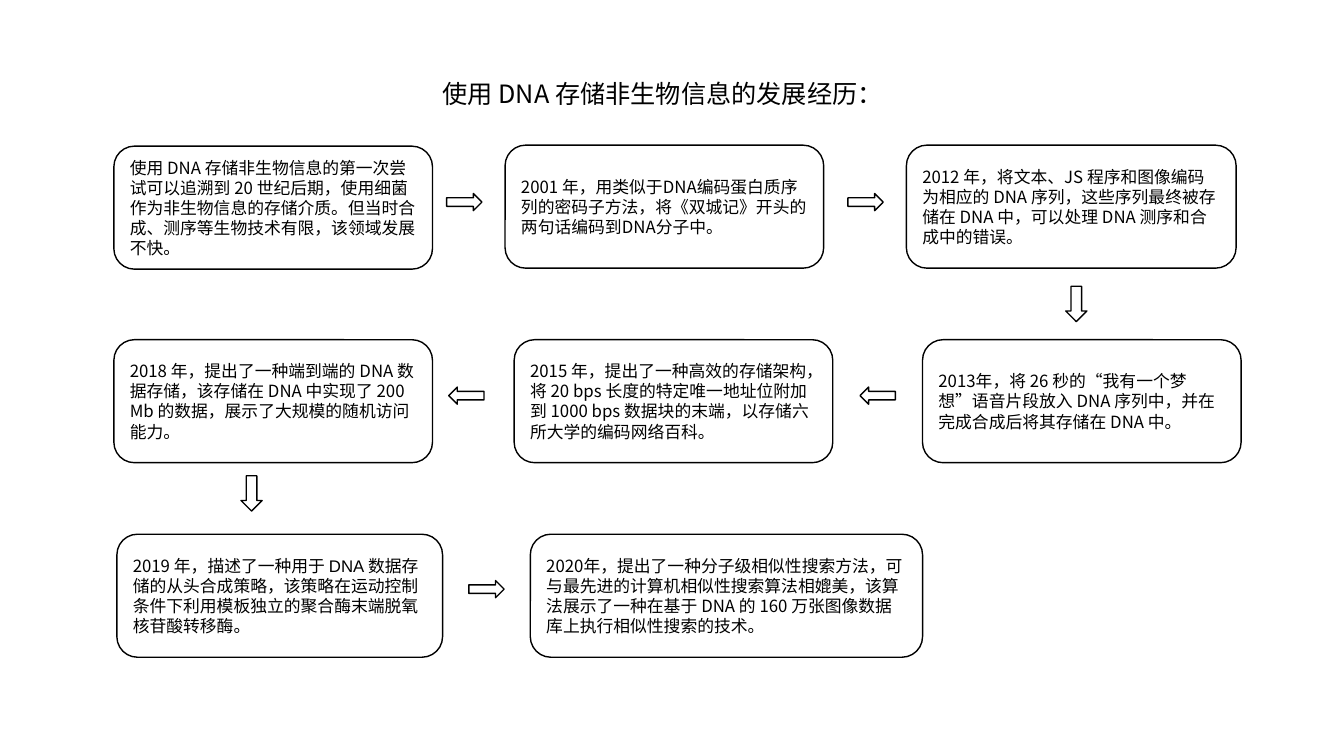
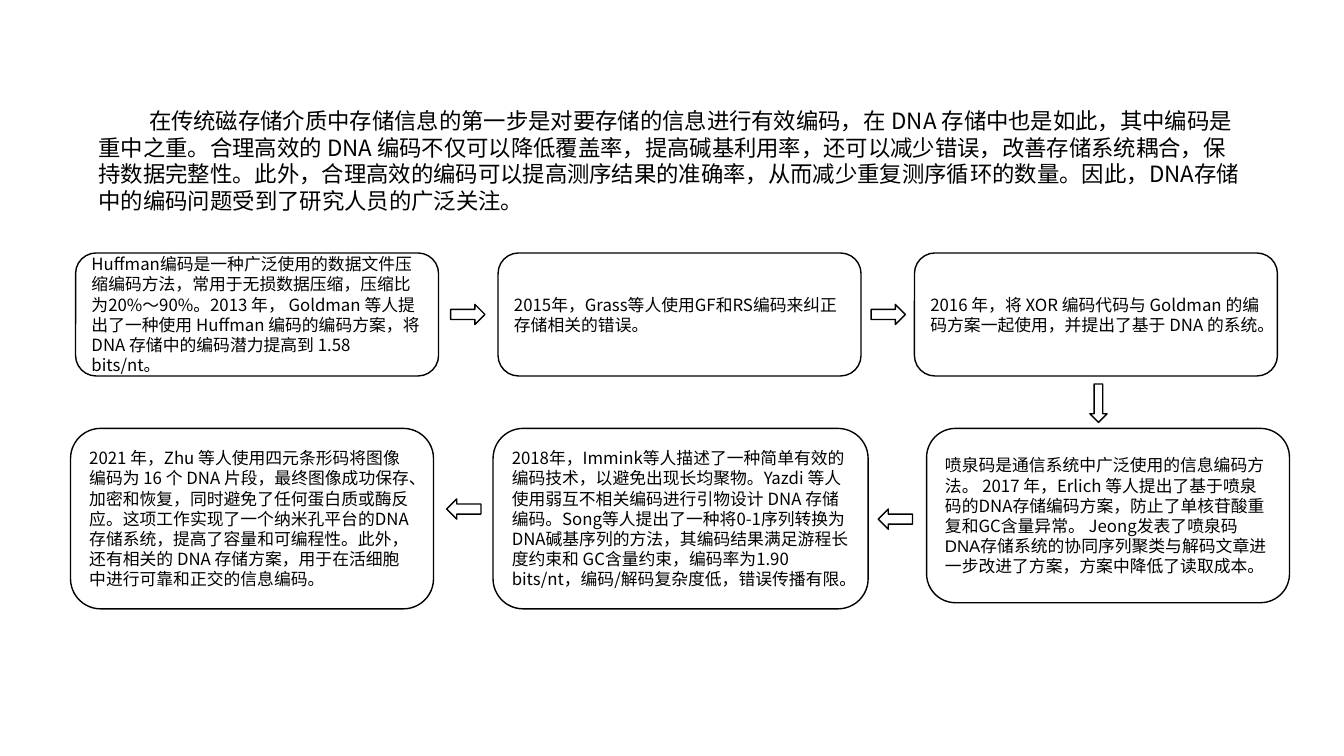
from pptx import Presentation
from pptx.dml.color import RGBColor
from pptx.enum.lang import MSO_LANGUAGE_ID as Language
from pptx.enum.shapes import MSO_SHAPE as Shape
from pptx.enum.text import MSO_ANCHOR as Anchor, PP_ALIGN as Align
from pptx.oxml.ns import qn
from pptx.util import Inches, Pt
from lxml import etree

BLACK, WHITE = "000000", "FFFFFF"
CJK_FONT, LATIN_FONT = "Noto Sans CJK SC", "Arial"
BODY_SIZE = 12

# Content: a run is a string, or (string, Latin font)
# Box: left, top, width, height, runs. Arrow: direction, left, top
SLIDES = [
    {
        "heading": {
            "text": "使用 DNA 存储非生物信息的发展经历：",
            "at": (4.29, 0.73, 6.67, 0.4), "size": 18, "indent": 0,
        },
        "boxes": [
            (1.13, 1.45, 3.16, 1.22, ["使用 DNA 存储非生物信息的第一次尝试可以追溯到 20 世纪后期，使用细菌作为非生物信息的存储介质。但当时合成、测序等生物技术有限，该领域发展不快。"]),
            (5.01, 1.44, 3.16, 1.22, ["2001 年，用类似于DNA编码蛋白质序列的密码子方法，将《双城记》开头的两句话编码到DNA分子中。"]),
            (8.99, 1.44, 3.27, 1.22, ["2012 年，将文本、JS 程序和图像编码为相应的 DNA 序列，这些序列最终被存储在 DNA 中，可以处理 DNA 测序和合成中的错误。"]),
            (9.15, 3.37, 3.16, 1.22, ["2013年，将 26 秒的“我有一个梦想”语音片段放入 DNA 序列中，并在完成合成后将其存储在 DNA 中。"]),
            (5.1, 3.37, 3.16, 1.22, ["2015 年，提出了一种高效的存储架构，将 20 bps 长度的特定唯一地址位附加到 1000 bps 数据块的末端，以存储六所大学的编码网络百科。"]),
            (1.13, 3.37, 3.16, 1.22, ["2018 年，提出了一种端到端的 DNA 数据存储，该存储在 DNA 中实现了 200 Mb 的数据，展示了大规模的随机访问能力。"]),
            (1.16, 5.3, 3.23, 1.22, [
                "2019 年，",
                ("描述了一种用于 DNA 数据存储的从头合成策略，该策略在运动控制条件下利用模板独立的聚合酶末端脱氧核苷酸转移酶。", LATIN_FONT),
            ]),
            (5.26, 5.3, 3.89, 1.22, ["2020年，提出了一种分子级相似性搜索方法，可与最先进的计算机相似性搜索算法相媲美，该算法展示了一种在基于 DNA 的 160 万张图像数据库上执行相似性搜索的技术。"]),
        ],
        "arrow_sizes": {"across": (0.35, 0.17), "down": (0.21, 0.35)},
        "arrows": [
            ("right", 4.43, 1.92), ("right", 8.41, 1.92), ("down", 10.57, 2.84),
            ("left", 8.53, 3.84), ("left", 4.45, 3.84), ("down", 2.39, 4.72),
            ("right", 4.65, 5.76),
        ],
    },
    {
        "heading": {
            "text": "在传统磁存储介质中存储信息的第一步是对要存储的信息进行有效编码，在 DNA 存储中也是如此，其中编码是重中之重。合理高效的 DNA 编码不仅可以降低覆盖率，提高碱基利用率，还可以减少错误，改善存储系统耦合，保持数据完整性。此外，合理高效的编码可以提高测序结果的准确率，从而减少重复测序循环的数量。因此，DNA存储中的编码问题受到了研究人员的广泛关注。",
            "at": (0.88, 1.01, 11.57, 1.18), "size": 16, "indent": 0.5,
        },
        "boxes": [
            (0.75, 2.51, 3.6, 1.22, ["Huffman编码是一种广泛使用的数据文件压缩编码方法，常用于无损数据压缩，压缩比为20%～90%。2013 年， Goldman 等人提出了一种使用 Huffman 编码的编码方案，将 DNA 存储中的编码潜力提高到 1.58 bits/nt。"]),
            (4.94, 2.51, 3.6, 1.22, ["2015年，Grass等人使用GF和RS编码来纠正存储相关的错误。"]),
            (9.07, 2.51, 3.6, 1.22, ["2016 年，将 XOR 编码代码与 Goldman 的编码方案一起使用，并提出了基于 DNA 的系统。"]),
            (9.19, 4.25, 3.6, 1.73, [
                "喷泉码是通信系统中广泛使用的信息编码方法。 2017 年，Erlich 等人提出了基于喷泉码的DNA存储编码方案，防止了单核苷酸重复和GC含量异常。 Jeong发表了",
                ("喷泉码DNA存储系统的协同序列聚类与解码文章", LATIN_FONT),
                "进一步改进了方案，方案中降低了读取成本。",
            ]),
            (4.89, 4.25, 3.72, 1.79, ["2018年，Immink等人描述了一种简单有效的编码技术，以避免出现长均聚物。Yazdi 等人使用弱互不相关编码进行引物设计 DNA 存储编码。Song等人提出了一种将0-1序列转换为DNA碱基序列的方法，其编码结果满足游程长度约束和 GC含量约束，编码率为1.90 bits/nt，编码/解码复杂度低，错误传播有限。"]),
            (0.7, 4.25, 3.6, 1.79, ["2021 年，Zhu 等人使用四元条形码将图像编码为 16 个 DNA 片段，最终图像成功保存、加密和恢复，同时避免了任何蛋白质或酶反应。这项工作实现了一个纳米孔平台的DNA存储系统，提高了容量和可编程性。此外，还有相关的 DNA 存储方案，用于在活细胞中进行可靠和正交的信息编码。"]),
        ],
        "arrow_sizes": {"across": (0.34, 0.2), "down": (0.17, 0.38)},
        "arrows": [
            ("right", 4.47, 3.02), ("right", 8.64, 3.02), ("down", 10.81, 3.81),
            ("left", 8.71, 5.05), ("left", 4.43, 4.95),
        ],
    },
]


def color(hex_string):
    return RGBColor.from_string(hex_string)


def place(*lengths):
    return [Inches(length) for length in lengths]


def add_run(paragraph, text, size, latin=CJK_FONT):
    run = paragraph.add_run()
    run.text = text
    font = run.font
    font.size = Pt(size)
    font.color.rgb = color(BLACK)
    font.name = latin
    font.language_id = Language.SIMPLIFIED_CHINESE
    # East Asian font for the Chinese characters
    east_asian = etree.SubElement(run._r.get_or_add_rPr(), qn("a:ea"))
    east_asian.set("typeface", CJK_FONT)


def add_outline(slide, kind, at):
    shape = slide.shapes.add_shape(kind, *place(*at))
    shape.shadow.inherit = False
    shape.fill.solid()
    shape.fill.fore_color.rgb = color(WHITE)
    shape.line.color.rgb = color(BLACK)
    shape.line.width = Pt(1)
    return shape


def add_heading(slide, text, at, size, indent):
    frame = slide.shapes.add_textbox(*place(*at)).text_frame
    frame.word_wrap = True
    paragraph = frame.paragraphs[0]
    if indent:
        paragraph._p.get_or_add_pPr().set("indent", str(Inches(indent)))
    add_run(paragraph, text, size)


def add_box(slide, left, top, width, height, runs):
    box = add_outline(slide, Shape.ROUNDED_RECTANGLE, (left, top, width, height))
    frame = box.text_frame
    frame.word_wrap = True
    frame.vertical_anchor = Anchor.MIDDLE
    paragraph = frame.paragraphs[0]
    paragraph.alignment = Align.LEFT
    for run in runs:
        text, latin = (run, CJK_FONT) if isinstance(run, str) else run
        add_run(paragraph, text, BODY_SIZE, latin)


def add_arrow(slide, sizes, direction, left, top):
    down = direction == "down"
    kind = Shape.DOWN_ARROW if down else Shape.RIGHT_ARROW
    size = sizes["down" if down else "across"]
    arrow = add_outline(slide, kind, (left, top, *size))
    if direction == "left":
        arrow.rotation = 180


def main():
    presentation = Presentation()
    presentation.slide_width, presentation.slide_height = place(13.33, 7.5)
    for content in SLIDES:
        slide = presentation.slides.add_slide(presentation.slide_layouts[6])
        add_heading(slide, **content["heading"])
        for box in content["boxes"]:
            add_box(slide, *box)
        for arrow in content["arrows"]:
            add_arrow(slide, content["arrow_sizes"], *arrow)
    presentation.save("out.pptx")


if __name__ == "__main__":
    main()
